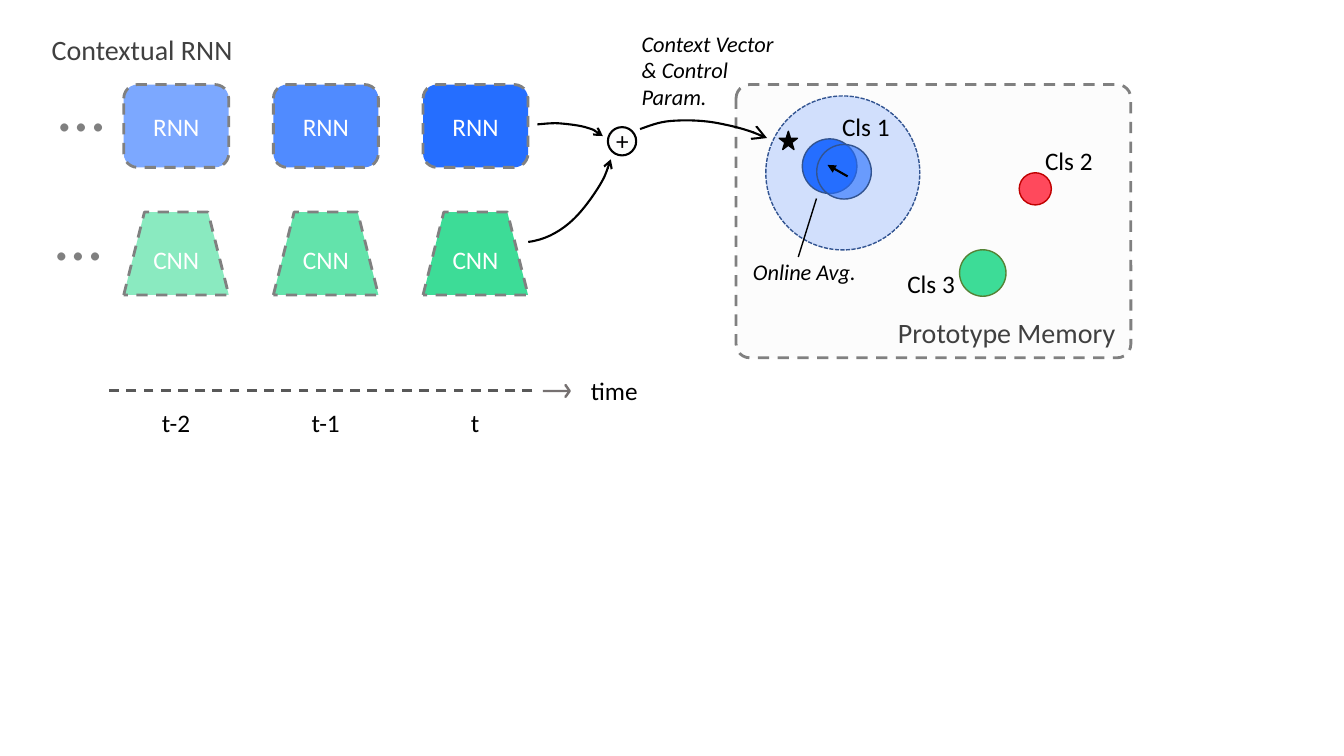
from pptx import Presentation
from pptx.dml.color import RGBColor
from pptx.enum import dml, shapes as kinds, text
from pptx.oxml import ns, xmlchemy as xml
from pptx.util import Pt

BLUE = RGBColor(0x25, 0x6E, 0xFF)
NAVY = RGBColor(0x32, 0x54, 0x91)
GREEN = RGBColor(0x3D, 0xDC, 0x97)
MOSS = RGBColor(0x54, 0x82, 0x35)
RED = RGBColor(0xFF, 0x49, 0x5C)
CRIMSON = RGBColor(0xC0, 0x00, 0x00)
BLACK = RGBColor(0, 0, 0)
WHITE = RGBColor(255, 255, 255)
PANEL = RGBColor(0xFC, 0xFC, 0xFC)
PALE = RGBColor(0xFC, 0xFD, 0xFC)
DARK = RGBColor(0x40, 0x40, 0x40)
SLATE = RGBColor(0x59, 0x59, 0x59)
STONE = RGBColor(0x76, 0x71, 0x71)
GREY = RGBColor(0x80, 0x80, 0x80)

FORM = kinds.MSO_SHAPE
DASH = dml.MSO_LINE.DASH
DOTS = dml.MSO_LINE.SQUARE_DOT
LEFT, CENTER = text.PP_ALIGN.LEFT, text.PP_ALIGN.CENTER


def add_tag(parent, tag, **attrs):
    node = xml.OxmlElement(tag)
    for key, value in attrs.items():
        node.set(key, value)
    parent.append(node)
    return node


def set_line(item, color, width, dash=None, head=None, size="med"):
    item.line.color.rgb = color
    item.line.width = Pt(width)
    if dash:
        item.line.dash_style = dash
    if head:
        add_tag(item.line._get_or_add_ln(), "a:tailEnd",
                type=head, w=size, len=size)


def write(frame, words, size, color, align, italic=False):
    frame.text = words
    para = frame.paragraphs[0]
    para.alignment = align
    font = para.runs[0].font
    font.name, font.size, font.italic = "Calibri", Pt(size), italic
    font.color.rgb = color


def shape(group, form, box, fill, line, width=1, dash=None, alpha=100):
    item = group.add_shape(form, *map(Pt, box))
    item.shadow.inherit = False
    item.fill.solid()
    item.fill.fore_color.rgb = fill
    if alpha < 100:
        tint = item.element.spPr.find(".//" + ns.qn("a:srgbClr"))
        add_tag(tint, "a:alpha", val=str(alpha * 1000))
    set_line(item, line, width, dash)
    return item


def disc(group, x, y, size, fill, line, **style):
    return shape(group, FORM.OVAL, (x, y, size, size), fill, line, **style)


def label(group, words, box, size=18, color=BLACK, align=LEFT,
          italic=False, wrap=False):
    item = group.add_textbox(*map(Pt, box))
    frame = item.text_frame
    write(frame, words, size, color, align, italic)
    frame.word_wrap = wrap
    frame.auto_size = text.MSO_AUTO_SIZE.SHAPE_TO_FIT_TEXT


def straight(group, start, end, color, width, dash=None, head=None):
    ends = map(Pt, (*start, *end))
    item = group.add_connector(kinds.MSO_CONNECTOR.STRAIGHT, *ends)
    set_line(item, color, width, dash, head)
    add_tag(item.element.spPr, "a:effectLst")


def outline(group, points, close):
    spots = [(Pt(x), Pt(y)) for x, y in points]
    pen = group.build_freeform(*spots[0])
    pen.add_line_segments(spots[1:], close=close)
    item = pen.convert_to_shape()
    item.shadow.inherit = False
    return item


def curve(group, knots, size="med"):
    """Arrow along cubic curves: a start, then three knots a curve."""
    item = outline(group, knots, False)
    track = item.element.spPr.find(".//" + ns.qn("a:path"))
    legs = track.findall(ns.qn("a:lnTo"))
    for i in range(0, len(legs), 3):
        bend = add_tag(track, "a:cubicBezTo")
        for leg in legs[i:i + 3]:
            bend.append(leg[0])
            track.remove(leg)
    item.fill.background()
    set_line(item, BLACK, 1.5, head="arrow", size=size)


def network(group):
    """RNN and CNN blocks, one column for each time step."""
    rows = (("RNN", FORM.ROUNDED_RECTANGLE, 60.4, BLUE),
            ("CNN", FORM.TRAPEZOID, 151.5, GREEN))
    for name, form, y, fill in rows:
        for col, alpha in enumerate((60, 80, 100)):
            box = (88.4 + 106.9 * col, y, 75, 59.2)
            block = shape(group, form, box, fill, GREY, 2, DASH, alpha)
            write(block.text_frame, name, 18, WHITE, CENTER)
            block.text_frame.vertical_anchor = text.MSO_ANCHOR.MIDDLE
    for x, y in ((29.8, 42.5), (28.1, 134.6)):
        label(group, "…", (x, y, 56.9, 65.5), 48, GREY, CENTER, wrap=True)
    label(group, "Contextual RNN", (29.8, 19.4, 144.7, 31.5), 20, DARK)


def time_axis(group):
    for col, (name, width) in enumerate((("t-2", 34.6), ("t-1", 34.6),
                                         ("t", 20.9))):
        mid = 125.9 + 106.9 * col
        label(group, name, (mid - width / 2, 287.6, width, 29))
    axis = group.add_group_shape().shapes
    mid = 279.3
    half = [(387.8, -0.8), (405.4, -0.8), (403.2, -3.6), (403.4, -4.9),
            (404.6, -4.8), (407.5, -0.6)]
    points = [(x, mid + y) for x, y in half]
    points += [(x, mid - y) for x, y in reversed(half)]
    tip = outline(axis, points, True)
    tip.fill.solid()
    tip.fill.fore_color.rgb = STONE
    tip.line.fill.background()
    straight(axis, (380.2, 278.9), (77, 278.9), SLATE, 1.75, DASH)
    label(group, "time", (415, 264.2, 48.2, 29))


def memory(group):
    """Prototype memory panel with its three classes."""
    panel = shape(group, FORM.ROUNDED_RECTANGLE, (525.8, 60.4, 282, 195.2),
                  PANEL, GREY, 2, DASH)
    panel.adjustments[0] = 0.05
    disc(group, 547, 68.5, 110, BLUE, NAVY, dash=DOTS, alpha=20)
    disc(group, 685.4, 178.4, 33.2, GREEN, MOSS)
    disc(group, 728, 123.4, 23, RED, CRIMSON)
    label(group, "Prototype Memory", (634.3, 221.8, 171.4, 31.5), 20, DARK)
    for name, x, y in (("Cls 1", 594.4, 76.2), ("Cls 2", 739.4, 100.2),
                       ("Cls 3", 641, 188.2)):
        label(group, name, (x, y, 49, 29))
    shape(group, FORM.STAR_5_POINT, (556.6, 93.8, 13, 13), BLACK, BLACK)
    # Online average of the Cls 1 prototype
    disc(group, 573.1, 99.2, 39, BLUE, NAVY)
    disc(group, 583.4, 103.2, 39, BLUE, NAVY, alpha=60)
    straight(group, (605.5, 126), (591.1, 117.8), BLACK, 1.5, head="triangle")
    label(group, "Online Avg.", (530.8, 181.1, 88.6, 26.6), 16, italic=True)
    straight(group, (570.2, 183.6), (583.2, 141.8), BLACK, 1)


def context(group):
    """Arrows into the sum and on to the memory."""
    curve(group, [(457.2, 92.2), (463.7, 90), (470.2, 87.1), (479.5, 86.4),
                  (488.2, 85.7), (500.4, 85.7), (511.9, 87.8),
                  (523.4, 90), (537.8, 93.6), (547.9, 98.6)], "lg")
    curve(group, [(383.8, 88.9), (388.1, 88.6), (393.1, 87.8), (398.9, 88.1),
                  (405.4, 88.6), (414.7, 89.6), (419.8, 91.4),
                  (424.8, 92.9), (427.7, 95), (430.6, 97.2)])
    curve(group, [(377.3, 172.8), (388.8, 171.4), (398.2, 166.3),
                  (406.1, 159.8), (414, 153.4), (421.9, 142.6),
                  (427, 134.6), (432, 126.7), (434.2, 120.2), (436.3, 113.8)])
    disc(group, 434.2, 90.8, 20.2, PALE, BLACK, width=1.5)
    label(group, "+", (432.7, 85.7, 23.8, 29), align=CENTER)
    label(group, "Context Vector & Control Param.", (451.2, 17.7, 116.6, 65.5),
          16, italic=True, wrap=True)


def main():
    deck = Presentation()
    deck.slide_width, deck.slide_height = Pt(960), Pt(540)
    group = deck.slides.add_slide(deck.slide_layouts[6]).shapes
    memory(group)
    network(group)
    time_axis(group)
    context(group)
    deck.save("out.pptx")


if __name__ == "__main__":
    main()
